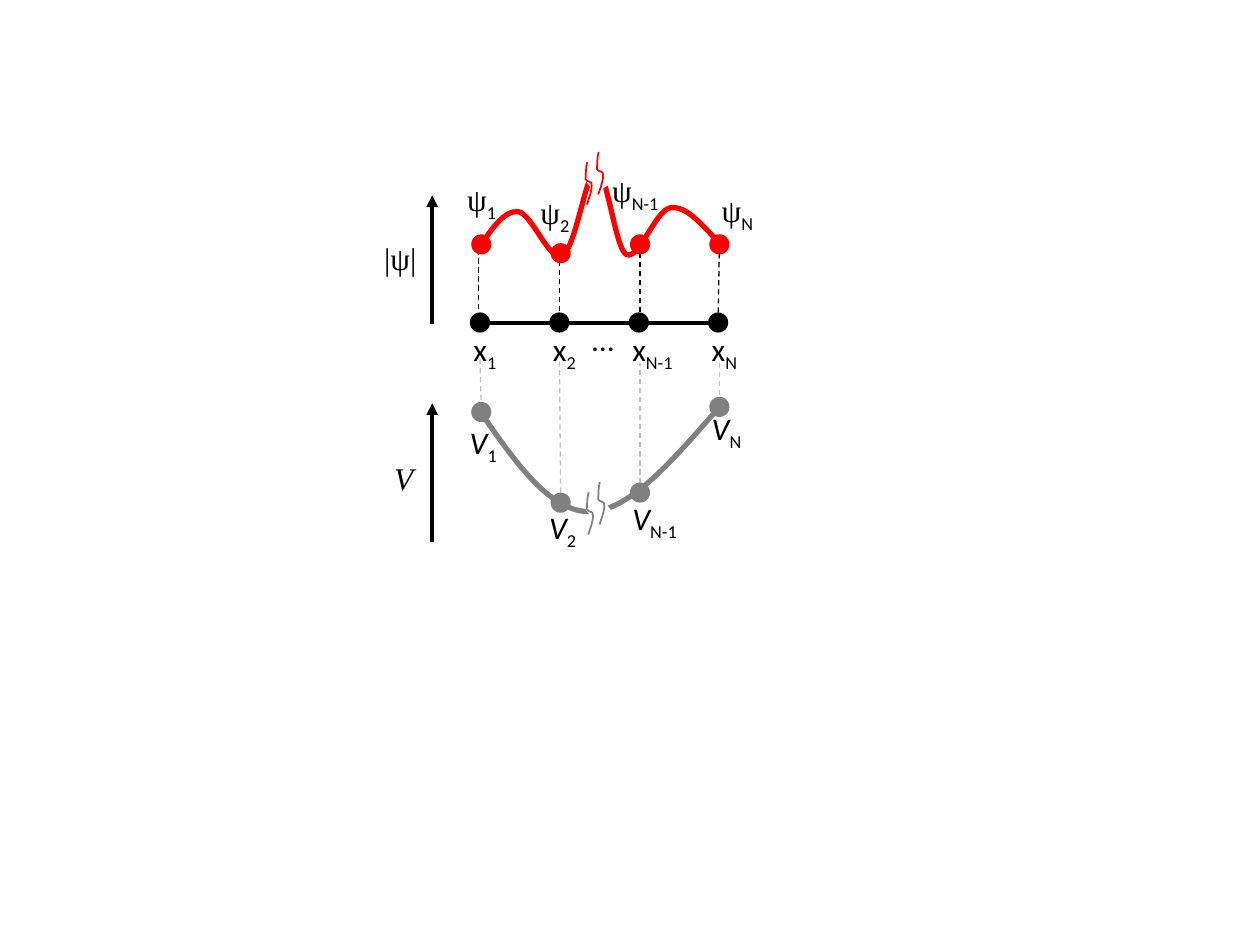
from lxml.etree import SubElement
from pptx import Presentation
from pptx.dml.color import RGBColor
from pptx.enum.dml import MSO_LINE
from pptx.enum.shapes import MSO_CONNECTOR, MSO_SHAPE
from pptx.enum.text import MSO_AUTO_SIZE
from pptx.oxml.ns import qn
from pptx.util import Inches, Pt

BLACK = RGBColor(0x00, 0x00, 0x00)
WHITE = RGBColor(0xFF, 0xFF, 0xFF)
RED = RGBColor(0xFF, 0x00, 0x00)
GRAY = RGBColor(0x80, 0x80, 0x80)
LIGHT_GRAY = RGBColor(0xBF, 0xBF, 0xBF)

SANS, SERIF = "Calibri", "Times New Roman"
INDICES = ["1", "2", "N-1", "N"]
INDEX_WIDTHS = [0, 0, 0.16, 0.02]
GRID_X, GRID_STEP, GRID_Y = 3.81, 0.63, 2.56
COLUMNS = [GRID_X + GRID_STEP * i for i in range(4)]
DOT = 0.16
PSI_Y = [1.94, 2.01, 1.94, 1.94]
V_Y = [3.27, 3.99, 3.91, 3.23]
GRID_LABELS = [(x - 0.15, 2.57) for x in COLUMNS]
PSI_LABELS = [(3.61, 1.38), (4.19, 1.48), (4.76, 1.31), (5.63, 1.47)]
V_LABELS = [(3.63, 3.31), (4.26, 3.98), (4.92, 3.91), (5.55, 3.2)]
GRID_DASHES = [
    ((5.71, 2.88), (5.71, 3.29)), ((5.08, 3.91), (5.08, 2.88)),
    ((4.45, 3.91), (4.44, 2.87)), ((3.81, 2.85), (3.82, 3.28)),
]
PSI_DASHES = [
    ((5.7, 2.48), (5.71, 1.94)), ((5.08, 2.48), (5.08, 2.02)),
    ((4.44, 2.47), (4.44, 2.08)), ((3.8, 2.45), (3.8, 1.98)),
]

PSI_CURVE = [
    (5.69, 1.91), (5.56, 1.77), (5.44, 1.63), (5.32, 1.65),
    (5.2, 1.67), (5.07, 2.07), (4.97, 2.02),
    (4.88, 1.97), (4.82, 1.35), (4.73, 1.35),
    (4.65, 1.36), (4.57, 1.98), (4.46, 2.03),
    (4.36, 2.08), (4.22, 1.69), (4.11, 1.68),
    (4, 1.67), (3.9, 1.82), (3.8, 1.97),
]
V_CURVE = [
    (3.8, 3.25), (4.08, 3.66), (4.37, 4.07), (4.68, 4.06),
    (5, 4.06), (5.35, 3.64), (5.71, 3.23),
]
SQUIGGLE = [
    (0, 0.27), (0.06, 0.23), (0.11, 0.19), (0.12, 0.17),
    (0.15, 0.14), (0.1, 0.13), (0.11, 0.1),
    (0.13, 0.08), (0.16, 0.03), (0.2, 0),
]
BREAK_ROTATION = 324


def add_line(s, start, end, color, width, dash=False, arrow=False):
    ends = [Inches(v) for v in (*start, *end)]
    line = s.shapes.add_connector(MSO_CONNECTOR.STRAIGHT, *ends)
    line.line.color.rgb = color
    line.line.width = Pt(width)
    if dash:
        line.line.dash_style = MSO_LINE.DASH
    if arrow:
        ln = line._element.spPr.find(qn("a:ln"))
        SubElement(ln, qn("a:tailEnd"), type="triangle")
    SubElement(line._element.spPr, qn("a:effectLst"))


def add_dot(s, x, y, color):
    box = [Inches(v) for v in (x - DOT / 2, y - DOT / 2, DOT, DOT)]
    dot = s.shapes.add_shape(MSO_SHAPE.OVAL, *box)
    dot.shadow.inherit = False
    dot.fill.solid()
    dot.fill.fore_color.rgb = color
    dot.line.fill.background()


def add_curve(shapes, points, color, width, rotation=0):
    outline = [(Inches(x), Inches(y)) for x, y in points]
    builder = shapes.build_freeform(*outline[0])
    builder.add_line_segments(outline[1:], close=False)
    curve = builder.convert_to_shape()
    segments = list(curve._element.iter(qn("a:lnTo")))
    for i in range(0, len(segments), 3):
        cubic = SubElement(segments[i].getparent(), qn("a:cubicBezTo"))
        for segment in segments[i:i + 3]:
            cubic.append(segment[0])
            segment.getparent().remove(segment)
    curve.rotation = rotation
    curve.shadow.inherit = False
    curve.fill.background()
    curve.line.color.rgb = color
    curve.line.width = Pt(width)


def add_break(s, x, y, color):
    group = s.shapes.add_group_shape()
    box = [Inches(v) for v in (x, y, 0.13, 0.16)]
    gap = group.shapes.add_shape(MSO_SHAPE.RECTANGLE, *box)
    gap.rotation = BREAK_ROTATION
    gap.shadow.inherit = False
    gap.fill.solid()
    gap.fill.fore_color.rgb = WHITE
    gap.line.color.rgb = WHITE
    gap.line.width = Pt(2)
    for left, top in [(x - 0.11, y - 0.02), (x - 0.02, y - 0.1)]:
        points = [(left + dx, top + dy) for dx, dy in SQUIGGLE]
        add_curve(group.shapes, points, color, 1, BREAK_ROTATION)


def add_text(s, text, x, y, width, sub="", font=SANS, italic=False):
    box = s.shapes.add_textbox(Inches(x), Inches(y), Inches(width), Inches(0.4))
    tf = box.text_frame
    tf.word_wrap = False
    tf.auto_size = MSO_AUTO_SIZE.SHAPE_TO_FIT_TEXT
    p = tf.paragraphs[0]
    for part, name, slant in [(text, font, italic), (sub, SANS, False)]:
        if part:
            r = p.add_run()
            r.text = part
            r.font.size = Pt(18)
            r.font.name = name
            r.font.italic = slant
            r.font.color.rgb = BLACK
    if sub:
        r.font._element.set("baseline", "-25000")


def add_labels(s, symbol, places, width, **style):
    for sub, (x, y), extra in zip(INDICES, places, INDEX_WIDTHS):
        add_text(s, symbol, x, y, width + extra, sub=sub, **style)


def add_dots(s, heights, color):
    for x, y in zip(COLUMNS, heights):
        add_dot(s, x + 0.01, y, color)


def add_dashes(s, dashes, color):
    for start, end in dashes:
        add_line(s, start, end, color, 0.75, dash=True)


def main():
    prs = Presentation()
    prs.slide_width, prs.slide_height = Inches(10), Inches(7.5)
    s = prs.slides.add_slide(prs.slide_layouts[6])

    add_dashes(s, GRID_DASHES, LIGHT_GRAY)
    add_line(s, (3.85, GRID_Y), (5.72, GRID_Y), BLACK, 2.25)
    add_curve(s.shapes, PSI_CURVE, RED, 3)
    for x in COLUMNS:
        add_dot(s, x, GRID_Y, BLACK)
    add_text(s, "…", 4.6, 2.49, 0.38)
    add_labels(s, "x", GRID_LABELS, 0.4)
    add_dashes(s, PSI_DASHES, BLACK)

    add_curve(s.shapes, V_CURVE, GRAY, 3)
    add_dots(s, PSI_Y, RED)
    add_dots(s, V_Y, GRAY)
    add_labels(s, "ψ", PSI_LABELS, 0.45, font=SERIF)
    add_labels(s, "V", V_LABELS, 0.43, italic=True)
    add_break(s, 4.67, 1.34, RED)
    add_break(s, 4.68, 3.96, GRAY)

    add_line(s, (3.43, 2.57), (3.43, 1.55), BLACK, 2.25, arrow=True)
    add_text(s, "|ψ|", 2.95, 1.85, 0.46, font=SERIF)
    add_line(s, (3.43, 4.3), (3.43, 3.2), BLACK, 2.25, arrow=True)
    add_text(s, "V", 3.03, 3.59, 0.36, font=SERIF, italic=True)

    prs.save("out.pptx")


if __name__ == "__main__":
    main()
